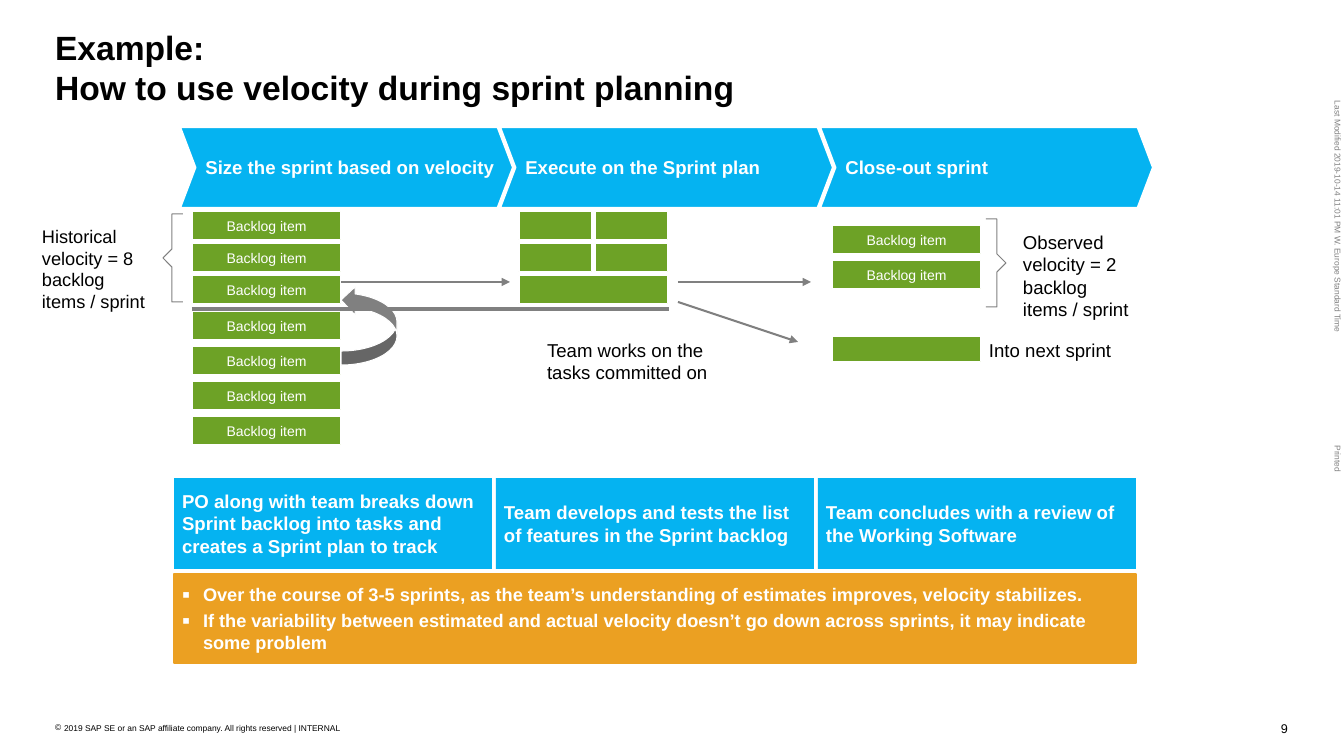
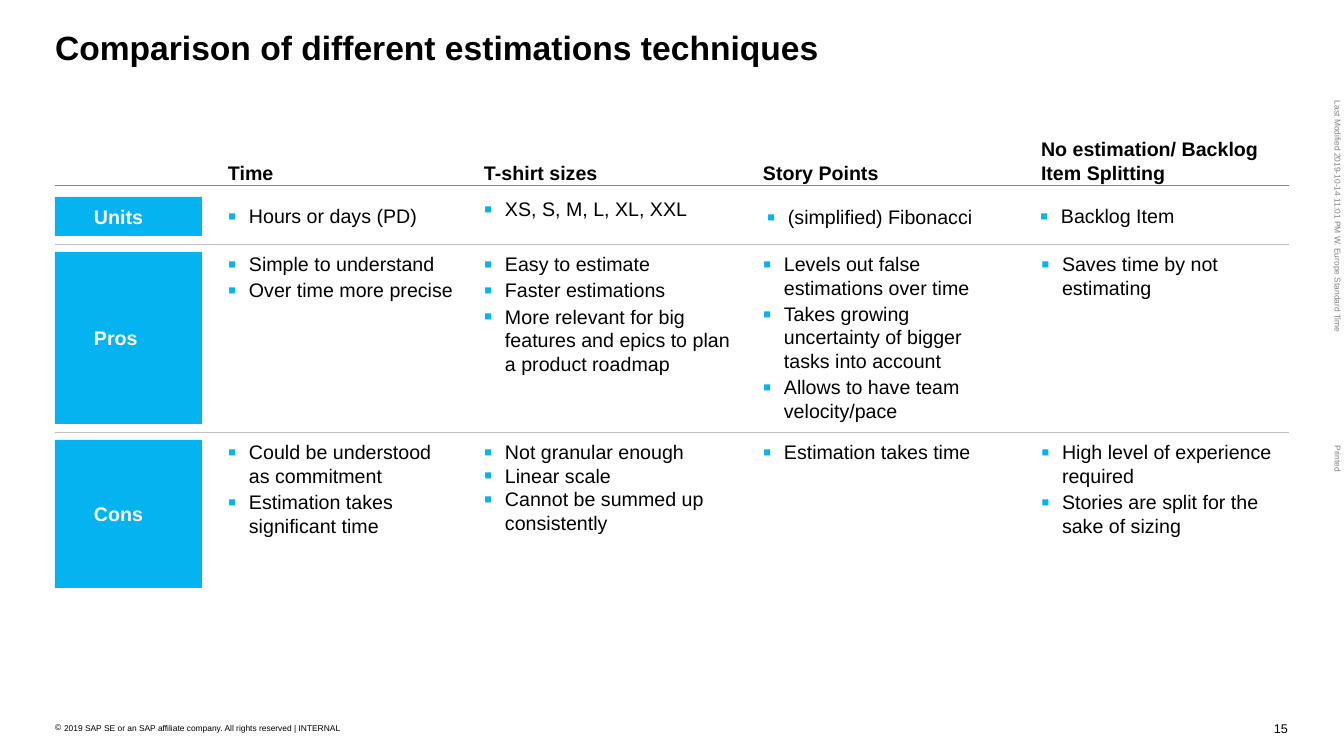
from lxml import etree
from pptx import Presentation, util as u
from pptx.dml.color import RGBColor
from pptx.enum import shapes, text as t
from pptx.oxml import ns

SCALE = 914400 / 100.8  # EMU in one px
FONT = "Arial"
COLOURS = {
    "blue": "05B3F1",
    "rule": "00B1F1",
    "green": "6DA226",
    "orange": "EBA022",
    "grey": "808080",
    "light": "BFBFBF",
    "white": "FFFFFF",
    "black": "000000",
}
ALIGN = {"left": t.PP_ALIGN.LEFT, "center": t.PP_ALIGN.CENTER, "right": t.PP_ALIGN.RIGHT}
ANCHOR = {"top": t.MSO_ANCHOR.TOP, "middle": t.MSO_ANCHOR.MIDDLE, "bottom": t.MSO_ANCHOR.BOTTOM}
SHAPE = shapes.MSO_SHAPE
ITEM_WIDTH, ITEM_HEIGHT = 149, 28


def px(length):
    return u.Emu(round(length * SCALE))


def colour(name):
    return RGBColor.from_string(COLOURS[name])


# Shared drawing helpers
def add_bullet(paragraph, symbol, name, indent, percent):
    properties = paragraph._p.get_or_add_pPr()
    properties.set("marL", str(px(indent)))
    properties.set("indent", str(-px(indent)))
    bullet_colour = etree.SubElement(properties, ns.qn("a:buClr"))
    etree.SubElement(bullet_colour, ns.qn("a:srgbClr"), val=COLOURS[name])
    etree.SubElement(properties, ns.qn("a:buSzPct"), val=str(percent * 1000))
    etree.SubElement(properties, ns.qn("a:buFont"), typeface=FONT)
    etree.SubElement(properties, ns.qn("a:buChar"), char=symbol)


def write(shape, content, *, size=13.3, ink="black", bold=False, align="left",
          anchor="top", insets=(0, 0, 0, 0), wrap=True, bullet=None,
          bullet_ink="blue", indent=21, percent=125, gap=0):
    """Fill a shape with one paragraph, or with a list of them."""
    frame = shape.text_frame
    frame.word_wrap = wrap
    frame.vertical_anchor = ANCHOR[anchor]
    (frame.margin_left, frame.margin_top,
     frame.margin_right, frame.margin_bottom) = map(px, insets)
    paragraphs = [content] if isinstance(content, str) else content
    for index, line in enumerate(paragraphs):
        paragraph = frame.add_paragraph() if index else frame.paragraphs[0]
        paragraph.text = line
        paragraph.alignment = ALIGN[align]
        if bullet:
            add_bullet(paragraph, bullet, bullet_ink, indent, percent)
        if index and gap:
            paragraph.space_before = u.Pt(gap)
        for run in paragraph.runs:
            run.font.name = FONT
            run.font.size = u.Pt(size)
            run.font.bold = bold
            run.font.color.rgb = colour(ink)
    return shape


def add_label(slide, box, content, **style):
    return write(slide.shapes.add_textbox(*map(px, box)), content, **style)


def paint(shape, fill=None, line=None, width=0.75):
    shape.shadow.inherit = False
    if fill:
        shape.fill.solid()
        shape.fill.fore_color.rgb = colour(fill)
    else:
        shape.fill.background()
    if line:
        shape.line.color.rgb = colour(line)
        shape.line.width = u.Pt(width)
    else:
        shape.line.fill.background()
    return shape


def add_block(slide, kind, box, fill, line=None, width=0.75):
    return paint(slide.shapes.add_shape(kind, *map(px, box)), fill, line, width)


def add_line(slide, start, end, name, width, arrow=False):
    connector = slide.shapes.add_connector(
        shapes.MSO_CONNECTOR.STRAIGHT, *map(px, (*start, *end)))
    connector.line.color.rgb = colour(name)
    connector.line.width = u.Pt(width)
    if arrow:
        etree.SubElement(connector.line._get_or_add_ln(), ns.qn("a:tailEnd"), type="triangle")
    etree.SubElement(connector._element.spPr, ns.qn("a:effectLst"))


def add_item(slide, x, y, label="", width=ITEM_WIDTH, height=ITEM_HEIGHT):
    block = add_block(slide, SHAPE.RECTANGLE, (x, y, width, height), "green", "white")
    if label:
        write(block, label, size=10, ink="white", align="center", anchor="middle", wrap=False)


def add_bracket(slide, x, y, direction):
    """Angular bracket from its open end at x, pointing right (1) or left (-1)."""
    outline = [(0, 0), (11, 0), (11, 35), (20, 44), (11, 53), (11, 88), (0, 88)]
    points = [(px(x + direction * dx), px(y + dy)) for dx, dy in outline]
    builder = slide.shapes.build_freeform(*points[0])
    builder.add_line_segments(points[1:], close=False)
    paint(builder.convert_to_shape(), line="grey")


def add_frame(presentation, title, number):
    """Blank slide with title, footer and side notes."""
    slide = presentation.slides.add_slide(presentation.slide_layouts[6])
    add_label(slide, (55, 27, 1234, 82), title, size=24, bold=True)
    add_label(slide, (55, 723, 326, 10),
              "2019 SAP SE or an SAP affiliate company. All rights reserved | INTERNAL",
              size=6, bullet="©", bullet_ink="black", indent=9, percent=100)
    add_label(slide, (1228, 721, 60, 15), str(number), size=9, align="right")
    notes = [("Last Modified 2019-10-14 11:01 PM W. Europe Standard Time", 219, 236),
             ("Printed", 459, 27)]
    for note, middle, length in notes:
        label = add_label(slide, (1338 - length / 2, middle - 5, length, 10), note,
                          size=6, ink="grey", wrap=False)
        label.rotation = 90
    return slide


# Regions of the velocity slide
def add_phases(slide, x, y):
    names = ["Size the sprint based on velocity", "Execute on the Sprint plan", "Close-out sprint"]
    for index, name in enumerate(names):
        phase = add_block(slide, SHAPE.CHEVRON, (x + 320 * index, y, 333, 81),
                          "blue", "white", 1.5)
        phase.adjustments[0] = 0.19
        write(phase, name, ink="white", bold=True, anchor="middle",
              insets=(10, 0, 0, 0), wrap=False)


def add_backlog(slide, x, y):
    chosen = [32 * index for index in range(3)]
    waiting = [100 + 35 * index for index in range(4)]
    for offset in chosen + waiting:
        add_item(slide, x, y + offset, "Backlog item")
    swap = add_block(slide, SHAPE.CURVED_RIGHT_ARROW, (x + 149, y + 74, 56, 79), "grey", "white")
    swap.rotation = 180
    add_bracket(slide, x - 9, y + 2, -1)
    add_label(slide, (x - 150, y + 13, 116, 89),
              "Historical velocity = 8 backlog items / sprint", size=13)


def add_tasks(slide, x, y):
    for row in range(2):
        for column in range(2):
            add_item(slide, x + 76 * column, y + 32 * row, width=73)
    add_item(slide, x, y + 64)
    add_label(slide, (x + 28, y + 127, 203, 46), "Team works on the tasks committed on")


def add_close_out(slide, x, y):
    for row in range(2):
        add_item(slide, x, y + 35 * row, "Backlog item")
    add_item(slide, x, y + 110, height=26)
    add_bracket(slide, x + 154, y - 7, 1)
    add_label(slide, (x + 191, y + 5, 113, 90), "Observed velocity = 2 backlog items / sprint")
    add_label(slide, (x + 157, y + 113, 156, 23), "Into next sprint")


def add_summary(slide, x, y):
    style = dict(ink="white", bold=True, anchor="middle", insets=(8, 8, 8, 8))
    steps = [
        "PO along with team breaks down Sprint backlog into tasks and creates a Sprint plan to track",
        "Team develops and tests the list of features in the Sprint backlog",
        "Team concludes with a review of the Working Software",
    ]
    for index, step in enumerate(steps):
        write(add_block(slide, SHAPE.RECTANGLE, (x + 322 * index, y, 318, 91), "blue"),
              step, **style)
    lessons = [
        "Over the course of 3-5 sprints, as the team’s understanding of estimates improves, "
        "velocity stabilizes.",
        "If the variability between estimated and actual velocity doesn’t go down across sprints, "
        "it may indicate some problem",
    ]
    banner = add_block(slide, SHAPE.RECTANGLE, (x, y + 96, 962, 89), "orange", "orange", 1.5)
    write(banner, lessons, size=13, bullet="▪", bullet_ink="white", gap=3, **style)


def build_velocity(presentation):
    slide = add_frame(presentation, "Example:\vHow to use velocity during sprint planning", 9)
    add_phases(slide, 180, 127)
    # Flow arrows between the three stages
    for start, end in [((334, 282), (510, 282)), ((678, 282), (811, 282)),
                       ((678, 302), (798, 342))]:
        add_line(slide, start, end, "grey", 1.5, arrow=True)
    add_backlog(slide, 192, 212)
    add_tasks(slide, 519, 212)
    add_close_out(slide, 832, 226)
    add_line(slide, (192, 309), (669, 309), "grey", 2.25)
    add_summary(slide, 174, 478)


# Comparison slide: left, width, heading, offset of the unit, unit, pros, cons, gap in cons
TECHNIQUES = [
    (228, 227, "Time", (0, 7), "Hours or days (PD)",
     ["Simple to understand", "Over time more precise"],
     ["Could be understood as commitment", "Estimation takes significant time"], 2),
    (484, 248, "T-shirt sizes", (0, 0), "XS, S, M, L, XL, XXL",
     ["Easy to estimate", "Faster estimations",
      "More relevant for big features and epics to plan a product roadmap"],
     ["Not granular enough", "Linear scale", "Cannot be summed up consistently"], 0),
    (763, 245, "Story Points", (4, 8), "(simplified) Fibonacci",
     ["Levels out false estimations over time",
      "Takes growing uncertainty of bigger tasks into account",
      "Allows to have team velocity/pace"],
     ["Estimation takes time"], 2),
    (1041, 248, "No estimation/ Backlog Item Splitting", (-1, 7), "Backlog Item",
     ["Saves time by not estimating"],
     ["High level of experience required", "Stories are split for the sake of sizing"], 2),
]


def add_row_heads(slide, x, y, width):
    """Blue row heads with rules between them; returns the top and height of each row."""
    rows = []
    for name, height in [("Units", 39), ("Pros", 172), ("Cons", 148)]:
        if rows:
            add_line(slide, (x, y - 8), (x + width, y - 8), "light", 0.25)
        head = add_block(slide, SHAPE.RECTANGLE, (x, y, 147, height), "blue")
        write(head, name, size=14, ink="white", bold=True, anchor="middle", insets=(39, 8, 8, 8))
        rows.append((y, height))
        y += height + 16
    return rows


def add_technique(slide, rows, technique):
    x, width, heading, (dx, dy), unit, pros, cons, cons_gap = technique
    add_label(slide, (x, 137, width, 49), heading, size=14, bold=True,
              anchor="bottom", insets=(0, 0, 0, 2))
    cells = [(dx, dy, unit, 0), (0, 0, pros, 2), (0, 0, cons, cons_gap)]
    for (top, height), (left, down, content, gap) in zip(rows, cells):
        add_label(slide, (x + left, top + down, width, height - down), content,
                  size=14, bullet="▪", gap=gap)


def build_comparison(presentation):
    slide = add_frame(presentation, "Comparison of different estimations techniques", 15)
    add_line(slide, (55, 186), (1289, 186), "rule", 0.75)
    rows = add_row_heads(slide, 55, 197, 1234)
    for technique in TECHNIQUES:
        add_technique(slide, rows, technique)


def main():
    presentation = Presentation()
    presentation.slide_width, presentation.slide_height = px(1344), px(756)
    build_velocity(presentation)
    build_comparison(presentation)
    presentation.save("out.pptx")


if __name__ == "__main__":
    main()
